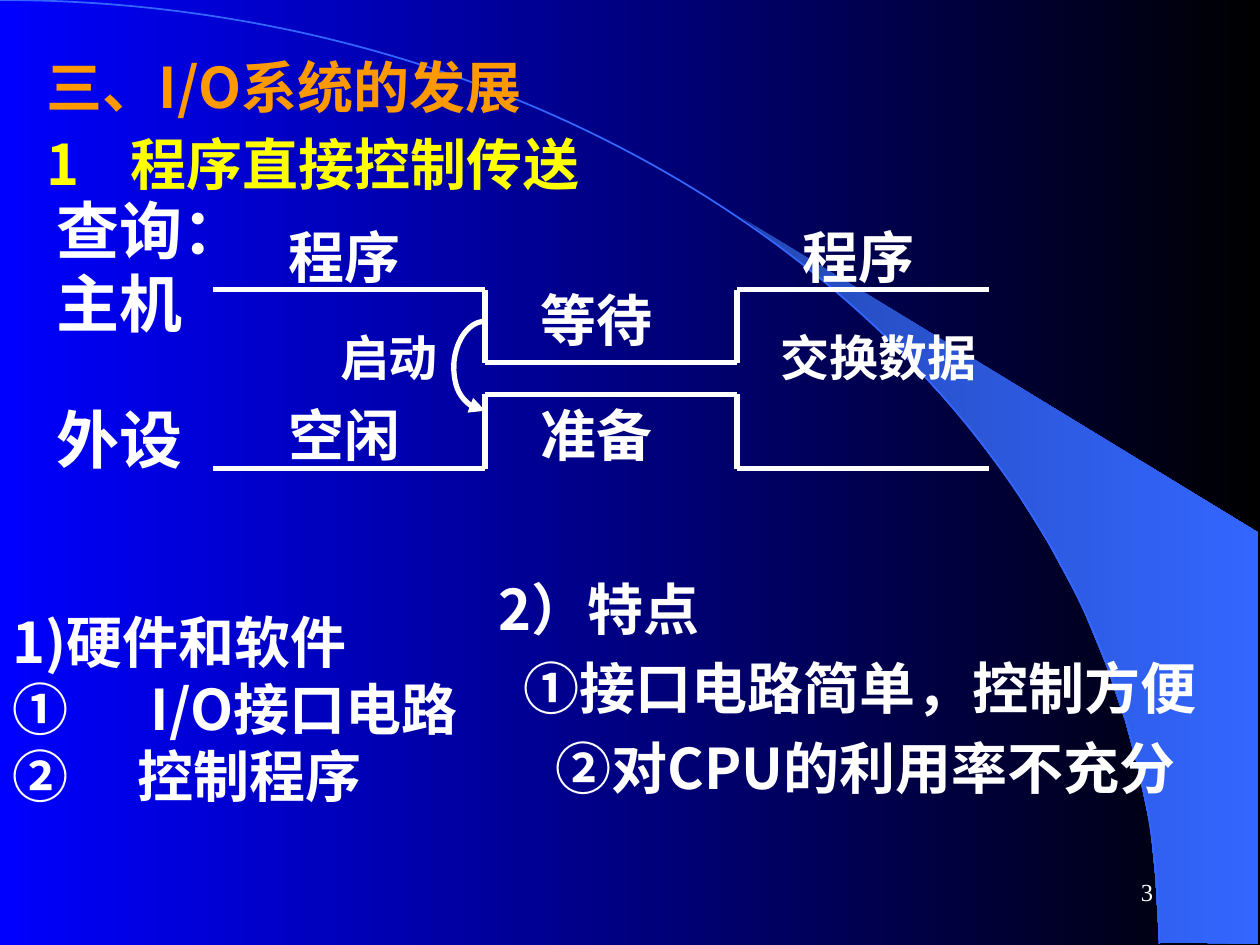
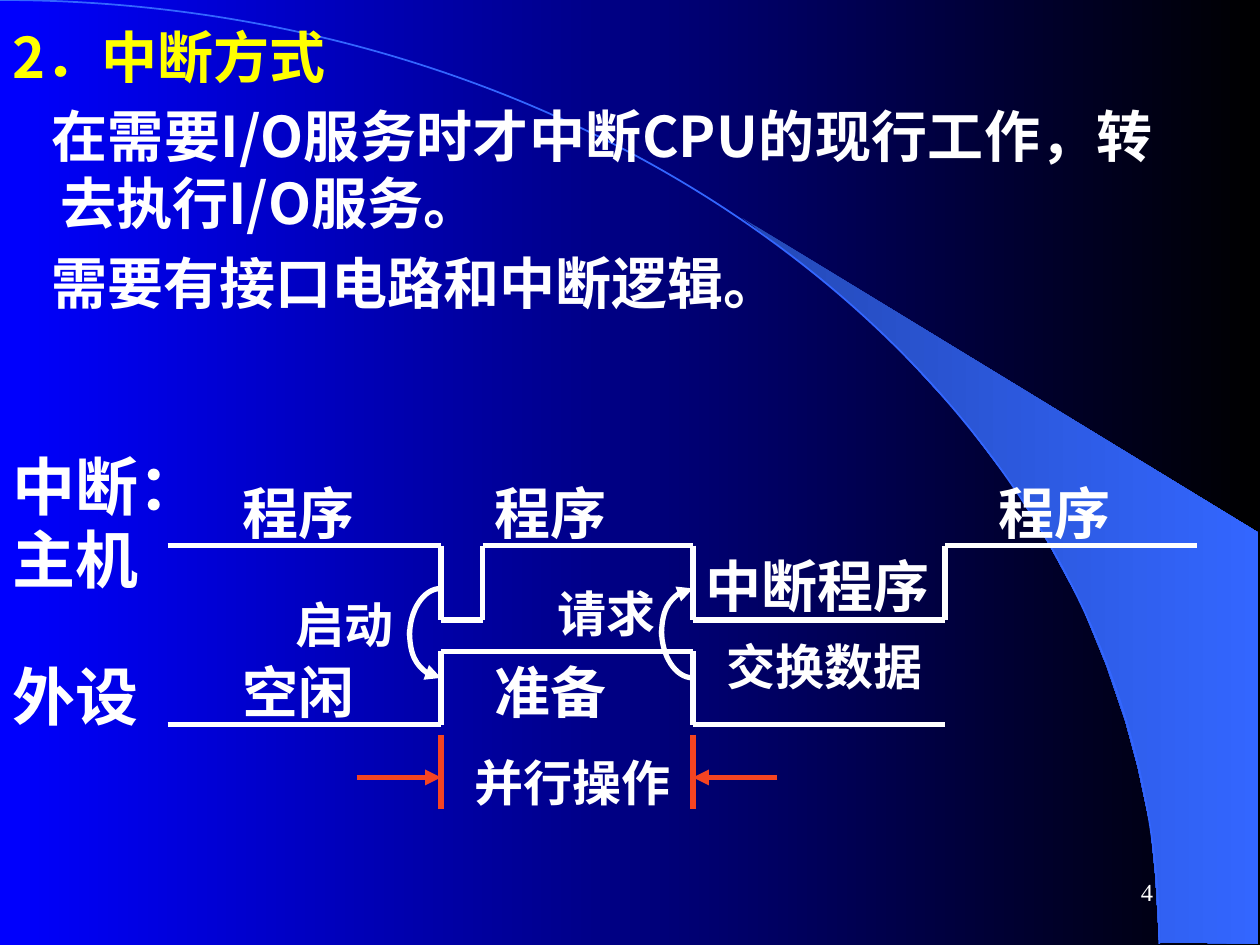
from dataclasses import dataclass

from lxml import etree
from pptx import Presentation
from pptx.dml.color import RGBColor
from pptx.enum.shapes import MSO_CONNECTOR
from pptx.enum.text import MSO_ANCHOR, MSO_AUTO_SIZE, PP_ALIGN
from pptx.oxml.ns import qn
from pptx.util import Pt

PX = 9144  # EMU per px, 100 px to the inch
ROUNDNESS = 0.55  # control-point distance that turns a curve into a quarter ellipse
STRAIGHT = MSO_CONNECTOR.STRAIGHT
LEFT, RIGHT, JUSTIFY = PP_ALIGN.LEFT, PP_ALIGN.RIGHT, PP_ALIGN.JUSTIFY
TOP, MIDDLE = MSO_ANCHOR.TOP, MSO_ANCHOR.MIDDLE
NO_AUTOSIZE = MSO_AUTO_SIZE.NONE


@dataclass(frozen=True)
class Theme:
    white: str = "FFFFFF"
    orange: str = "FF9900"
    yellow: str = "FFFF00"
    red: str = "F54421"
    background: tuple = ("0000FF", "000000")
    swoosh: tuple = ("2449B6", "3366FF")
    rim: str = "3366FF"
    heading_font: str = "Noto Sans CJK SC"
    label_font: str = "Times New Roman"
    row_size: int = 36
    text_size: int = 32
    note_size: int = 28
    number_size: int = 14
    line_width: int = 3
    rim_width: int = 1
    paragraph_gap: int = 7


THEME = Theme()
LABEL_HEIGHTS = {THEME.row_size: 70, THEME.text_size: 63, THEME.note_size: 57}
SWOOSH_OUTLINE = [
    (920, 748), (999, 749), (999, 423), (589, 173), (624, 199), (653, 222),
    (685, 250), (716, 280), (762, 330), (803, 384), (832, 431), (858, 479),
    (878, 528), (893, 572), (903, 609), (913, 656), (917, 696),
]


# Shared helpers
def px(value):
    return round(value * PX)


def fill_gradient(fill, colors):
    fill.gradient()
    fill.gradient_angle = 0
    for stop, color in zip(fill.gradient_stops, colors):
        stop.color.rgb = RGBColor.from_string(color)


def style_line(shape, color, width, arrow=None):
    """Colour a line; arrow is None, "headEnd" or "tailEnd"."""
    shape.line.color.rgb = RGBColor.from_string(color)
    shape.line.width = Pt(width)
    if arrow:
        outline = shape.element.spPr.find(qn("a:ln"))
        etree.SubElement(outline, qn(f"a:{arrow}"), type="triangle")


def add_text(slide, box, paragraphs, *, size=THEME.text_size, color=THEME.white,
             font=THEME.heading_font, bold=True, align=LEFT, anchor=TOP,
             indents=None, bottom_inset=5, shape=None):
    """Write paragraphs; indents holds (left margin, first-line offset) pairs."""
    left, top, width, height = map(px, box)
    if shape is None:
        shape = slide.shapes.add_textbox(left, top, width, height)
    else:
        shape.left, shape.top, shape.width, shape.height = left, top, width, height
    frame = shape.text_frame
    frame.word_wrap = True
    frame.auto_size = NO_AUTOSIZE
    frame.vertical_anchor = anchor
    frame.margin_bottom = px(bottom_inset)
    indents = indents or [(0, 0)] * len(paragraphs)
    for index, (content, (margin, offset)) in enumerate(zip(paragraphs, indents)):
        paragraph = frame.add_paragraph() if index else frame.paragraphs[0]
        paragraph.alignment = align
        properties = paragraph._p.get_or_add_pPr()
        properties.set("marL", str(px(margin)))
        properties.set("indent", str(px(offset)))
        if index and anchor == MIDDLE:
            paragraph.space_before = Pt(THEME.paragraph_gap)
        run = paragraph.add_run()
        run.text = content
        run.font.size = Pt(size)
        run.font.bold = bold
        run.font.color.rgb = RGBColor.from_string(color)
        run.font.name = font
    for properties in shape.element.iter(qn("a:rPr")):
        etree.SubElement(properties, qn("a:ea"), typeface=THEME.heading_font)


def add_title(slide, box, content, color):
    title = slide.shapes.title
    title.element.getparent().append(title.element)  # in front of the rim
    add_text(slide, box, [content], color=color, shape=title)


def add_label(slide, content, left, top, width=125, size=THEME.text_size,
              font=THEME.label_font):
    box = (left, top, width, LABEL_HEIGHTS[size])
    add_text(slide, box, [content], size=size, font=font)


def add_row_heads(slide, left, heads):
    for content, top, width in heads:
        add_label(slide, content, left, top, width, THEME.row_size,
                  THEME.heading_font)


def add_line(slide, start, end, color=THEME.white, arrow=None):
    connector = slide.shapes.add_connector(
        STRAIGHT, *map(px, start), *map(px, end))
    style_line(connector, color, THEME.line_width, arrow)
    etree.SubElement(connector.element.spPr, qn("a:effectLst"))


def add_signal(slide, points):
    for start, end in zip(points, points[1:]):
        add_line(slide, start, end)


def add_outline(slide, points, close):
    start, *rest = [(px(x), px(y)) for x, y in points]
    builder = slide.shapes.build_freeform(*start)
    builder.add_line_segments(rest, close=close)
    shape = builder.convert_to_shape()
    shape.shadow.inherit = False
    return shape


def add_quarter(slide, start, end, color=THEME.white, width=THEME.line_width,
                arrow=None):
    """Draw a quarter ellipse that leaves start horizontally."""
    shape = add_outline(slide, [start, end], close=False)
    segment = next(shape.element.iter(qn("a:lnTo")))
    (x0, y0), (x1, y1) = [
        (int(point.get("x")), int(point.get("y")))
        for point in shape.element.iter(qn("a:pt"))]
    curve = etree.Element(qn("a:cubicBezTo"))
    for x, y in [(x0 + ROUNDNESS * (x1 - x0), y0),
                 (x1, y1 - ROUNDNESS * (y1 - y0)), (x1, y1)]:
        etree.SubElement(curve, qn("a:pt"), x=str(round(x)), y=str(round(y)))
    segment.getparent().replace(segment, curve)
    shape.fill.background()
    style_line(shape, color, width, arrow)


def add_handshake(slide, x, top, upward=False):
    bottom, reach, height = top + 71, 25, 38
    add_quarter(slide, (x, top), (x - reach, top + height),
                arrow="headEnd" if upward else None)
    add_quarter(slide, (x, bottom), (x - reach, bottom - height),
                arrow=None if upward else "headEnd")


def start_slide(presentation, number):
    slide = presentation.slides.add_slide(presentation.slide_layouts[5])
    swoosh = add_outline(slide, SWOOSH_OUTLINE, close=True)
    fill_gradient(swoosh.fill, THEME.swoosh)
    swoosh.line.fill.background()
    add_quarter(slide, (0, 0), (920, 749), THEME.rim, THEME.rim_width)
    add_text(slide, (717, 683, 208, 50), [str(number)], size=THEME.number_size,
             font=THEME.label_font, bold=False, align=RIGHT, anchor=MIDDLE)
    return slide


# Slide: programmed transfer
def build_polling_slide(presentation):
    slide = start_slide(presentation, 3)
    add_title(slide, (27, 37, 925, 63), "三、I/O系统的发展", THEME.orange)
    add_text(slide, (27, 98, 925, 63), ["1\t程序直接控制传送"],
             color=THEME.yellow, indents=[(67, -67)])

    # Components and features
    add_text(slide, (0, 477, 520, 170),
             ["1)硬件和软件", "①\tI/O接口电路", "②\t控制程序"],
             indents=[(0, 0), (110, -110), (99, -99)])
    add_text(slide, (386, 438, 614, 268),
             ["2）特点", "①接口电路简单，控制方便", "②对CPU的利用率不充分"],
             anchor=MIDDLE, indents=[(0, 0), (20, 0), (45, 0)], bottom_inset=58)

    # Timing diagram
    high, low, ready, idle = 230, 288, 313, 372
    add_row_heads(slide, 35, [("查询：", 147, 258), ("主机", 205, 150),
                              ("外设", 313, 150)])
    add_signal(slide, [(169, high), (385, high), (385, low), (585, low),
                       (585, high), (785, high)])
    add_signal(slide, [(169, idle), (385, idle), (385, ready), (585, ready),
                       (585, idle), (785, idle)])
    add_handshake(slide, 385, 255)
    for content, left, top, width in [("程序", 219, 172, 125),
                                      ("等待", 419, 222, 125),
                                      ("程序", 627, 172, 183),
                                      ("空闲", 219, 313, 125),
                                      ("准备", 419, 313, 125)]:
        add_label(slide, content, left, top, width)
    add_label(slide, "启动", 260, 255, 108, THEME.note_size)
    add_label(slide, "交换数据", 610, 255, 200, THEME.note_size)


# Slide: interrupt mode
def build_interrupt_slide(presentation):
    slide = start_slide(presentation, 4)
    add_title(slide, (0, 13, 925, 63), "2．中断方式", THEME.yellow)
    add_text(slide, (0, 75, 925, 181),
             ["在需要I/O服务时才中断CPU的现行工作，转去执行I/O服务。",
              "需要有接口电路和中断逻辑。"],
             align=JUSTIFY, anchor=MIDDLE, indents=[(38, -7), (38, -7)])

    # Timing diagram
    high, low, ready, idle = 433, 492, 517, 575
    add_row_heads(slide, 0, [("中断：", 350, 258), ("主机", 408, 150),
                             ("外设", 517, 150)])
    add_signal(slide, [(133, high), (350, high), (350, low), (383, low),
                       (383, high), (550, high), (550, low), (750, low),
                       (750, high), (950, high)])
    add_signal(slide, [(133, idle), (350, idle), (350, ready), (550, ready),
                       (550, idle), (750, idle)])
    add_handshake(slide, 350, 467)
    add_handshake(slide, 550, 467, upward=True)
    for content, left, top, width in [("程序", 183, 375, 125),
                                      ("程序", 383, 375, 183),
                                      ("程序", 783, 375, 183),
                                      ("空闲", 183, 517, 125),
                                      ("准备", 383, 517, 125),
                                      ("中断程序", 550, 433, 225)]:
        add_label(slide, content, left, top, width)
    for content, left, top, width in [("启动", 225, 467, 108),
                                      ("请求", 433, 458, 108),
                                      ("交换数据", 567, 500, 200),
                                      ("并行操作", 367, 592, 225)]:
        add_label(slide, content, left, top, width, THEME.note_size)

    # Parallel interval
    for edge, outside in [(350, 283), (550, 617)]:
        add_line(slide, (edge, 583), (edge, 642), THEME.red)
        add_line(slide, (outside, 617), (edge, 617), THEME.red, arrow="tailEnd")


def main():
    presentation = Presentation()
    presentation.slide_width, presentation.slide_height = px(1000), px(750)
    fill_gradient(presentation.slide_master.background.fill, THEME.background)
    build_polling_slide(presentation)
    build_interrupt_slide(presentation)
    presentation.save("out.pptx")


if __name__ == "__main__":
    main()
